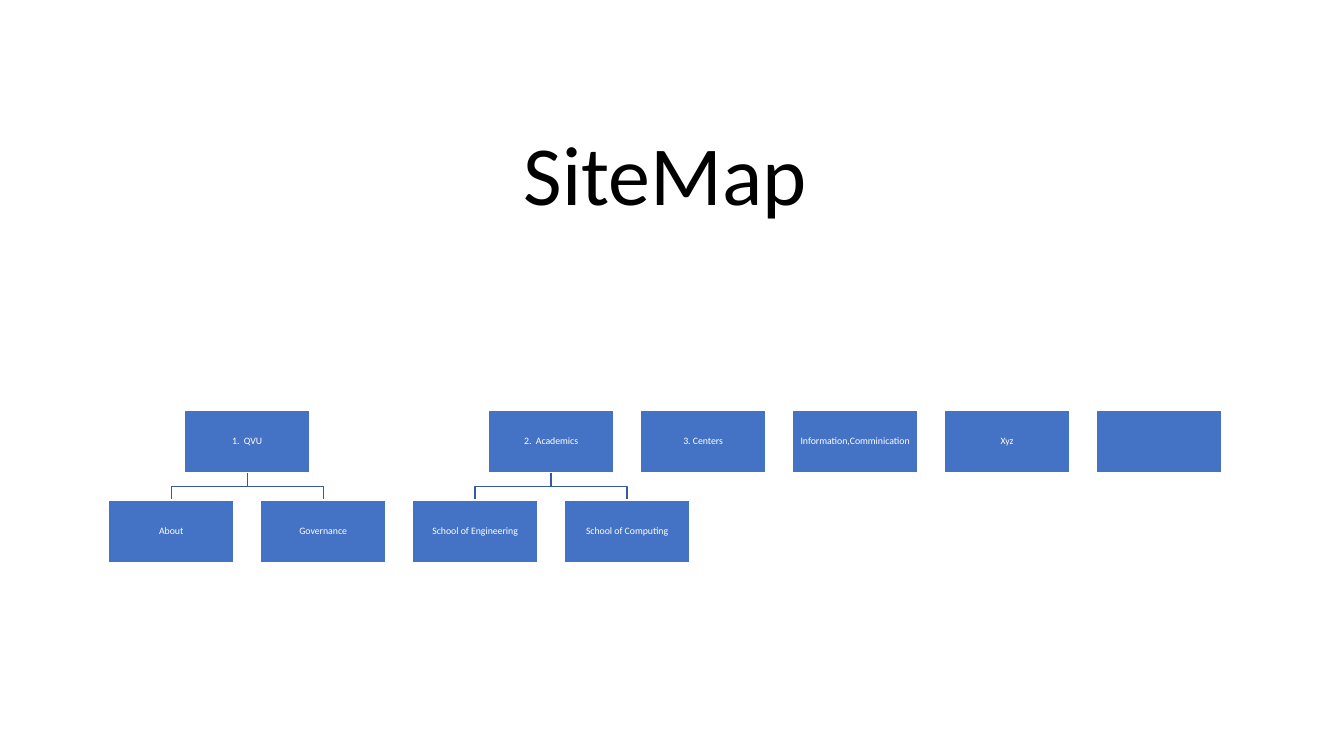
from dataclasses import dataclass

from pptx import Presentation
from pptx.dml.color import RGBColor
from pptx.enum.shapes import MSO_SHAPE
from pptx.enum.text import MSO_ANCHOR, PP_ALIGN
from pptx.util import Cm, Pt

TITLE = "SiteMap"
SECTIONS = [
    ("1.  QVU", ["About", "Governance"]),
    ("2.  Academics", ["School of Engineering", "School of Computing"]),
    ("3. Centers", []),
    ("Information,Comminication", []),
    ("Xyz", []),
    ("", []),
]


@dataclass(frozen=True)
class Theme:
    font: str = "Calibri"
    title_size: Pt = Pt(60)
    box_size: Pt = Pt(7)
    line_width: Pt = Pt(1)
    title_color: RGBColor = RGBColor(0, 0, 0)
    box_fill: RGBColor = RGBColor(0x44, 0x72, 0xC4)
    box_text: RGBColor = RGBColor(255, 255, 255)
    branch: RGBColor = RGBColor(0x36, 0x5B, 0x9D)


THEME = Theme()
TREE_LEFT, COLUMN_PITCH = Cm(2.73), Cm(3.83)
BOX_WIDTH, BOX_HEIGHT = Cm(3.17), Cm(1.57)
SECTION_TOP, PAGE_TOP = Cm(10.34), Cm(12.6)


def write_text(frame, text, size, color, anchor):
    frame.word_wrap = True
    frame.vertical_anchor = anchor
    para = frame.paragraphs[0]
    para.text = text
    para.alignment = PP_ALIGN.CENTER
    para.line_spacing = 0.9
    para.font.name = THEME.font
    para.font.size = size
    para.font.color.rgb = color


def column_left(column):
    return TREE_LEFT + round(column * COLUMN_PITCH)


def add_box(page, text, column, top):
    box = page.shapes.add_shape(
        MSO_SHAPE.RECTANGLE, column_left(column), top, BOX_WIDTH, BOX_HEIGHT
    )
    box.shadow.inherit = False
    box.fill.solid()
    box.fill.fore_color.rgb = THEME.box_fill
    box.line.color.rgb = THEME.box_text
    box.line.width = THEME.line_width
    frame = box.text_frame
    frame.margin_left = frame.margin_right = frame.margin_top = frame.margin_bottom = 0
    if text:
        write_text(frame, text, THEME.box_size, THEME.box_text, MSO_ANCHOR.MIDDLE)


def add_branch(page, section_column, page_column):
    start, end = (column_left(c) + BOX_WIDTH // 2 for c in (section_column, page_column))
    bottom = SECTION_TOP + BOX_HEIGHT
    middle = (bottom + PAGE_TOP) // 2
    builder = page.shapes.build_freeform(start, bottom)
    builder.add_line_segments(
        [(start, middle), (end, middle), (end, PAGE_TOP)], close=False
    )
    branch = builder.convert_to_shape()
    branch.shadow.inherit = False
    branch.fill.background()
    branch.line.color.rgb = THEME.branch
    branch.line.width = THEME.line_width


def add_tree(page):
    section_column, next_page_column = -1, 0
    for section, children in SECTIONS:
        columns = [next_page_column + index for index in range(len(children))]
        next_page_column += len(children)
        section_column = sum(columns) / len(columns) if columns else section_column + 1
        for column in columns:
            add_branch(page, section_column, column)
        add_box(page, section, section_column, SECTION_TOP)
        for child, column in zip(children, columns):
            add_box(page, child, column, PAGE_TOP)


deck = Presentation()
deck.slide_width, deck.slide_height = Cm(33.87), Cm(19.05)
page = deck.slides.add_slide(deck.slide_layouts[6])
title = page.shapes.add_textbox(Cm(4.24), Cm(3.12), Cm(25.04), Cm(2.64))
write_text(
    title.text_frame, TITLE, THEME.title_size, THEME.title_color, MSO_ANCHOR.BOTTOM
)
add_tree(page)
deck.save("out.pptx")
